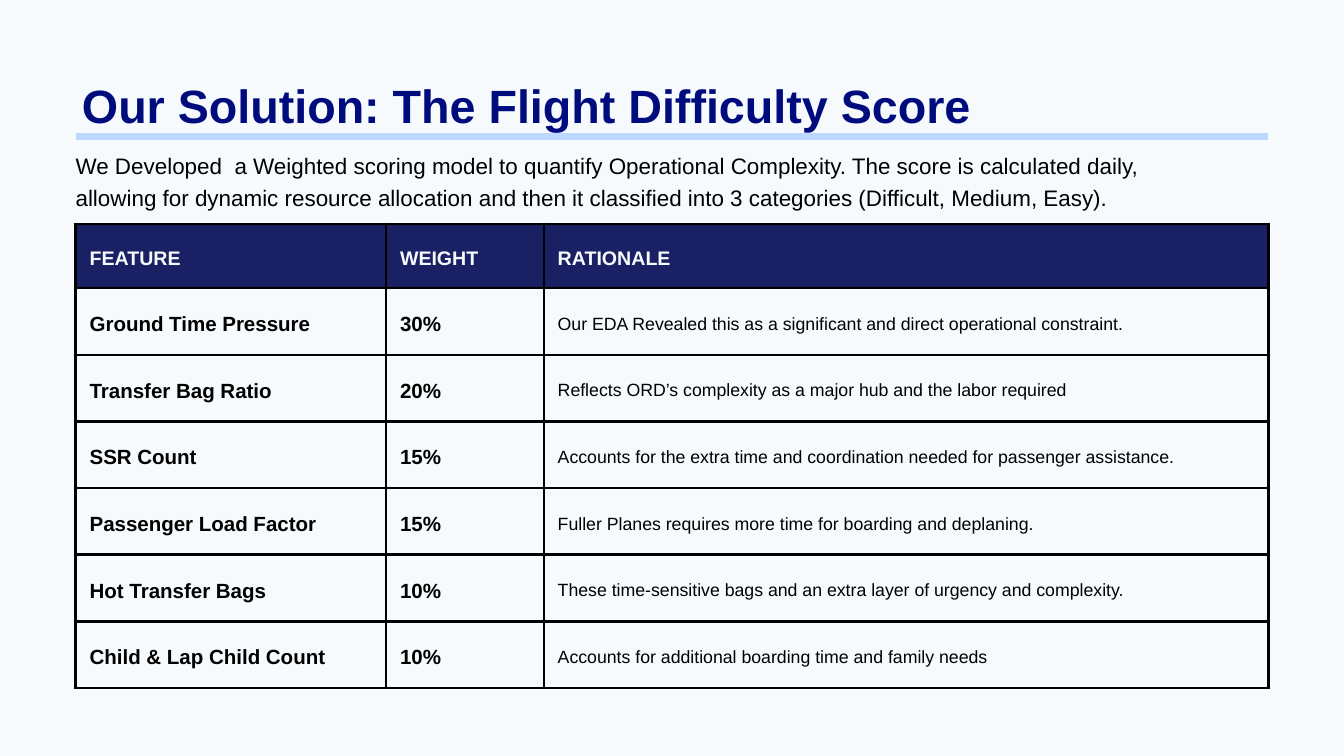
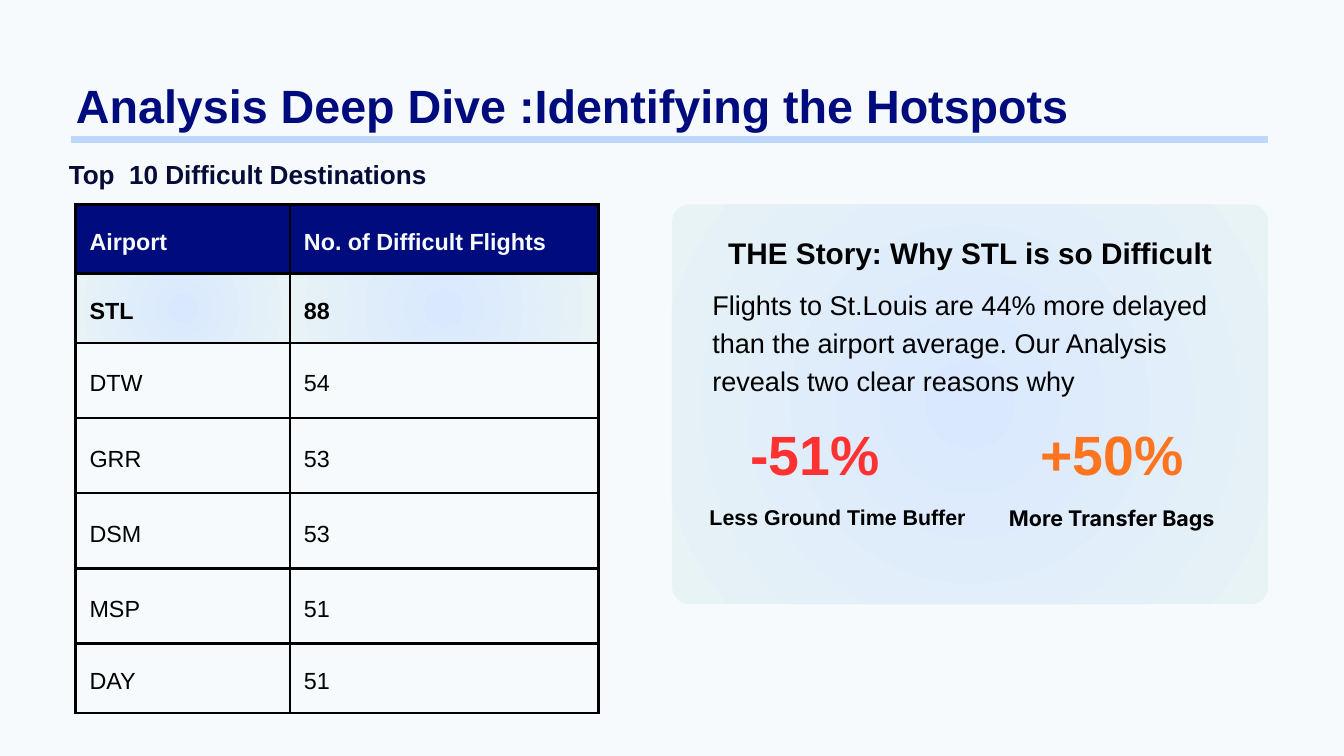
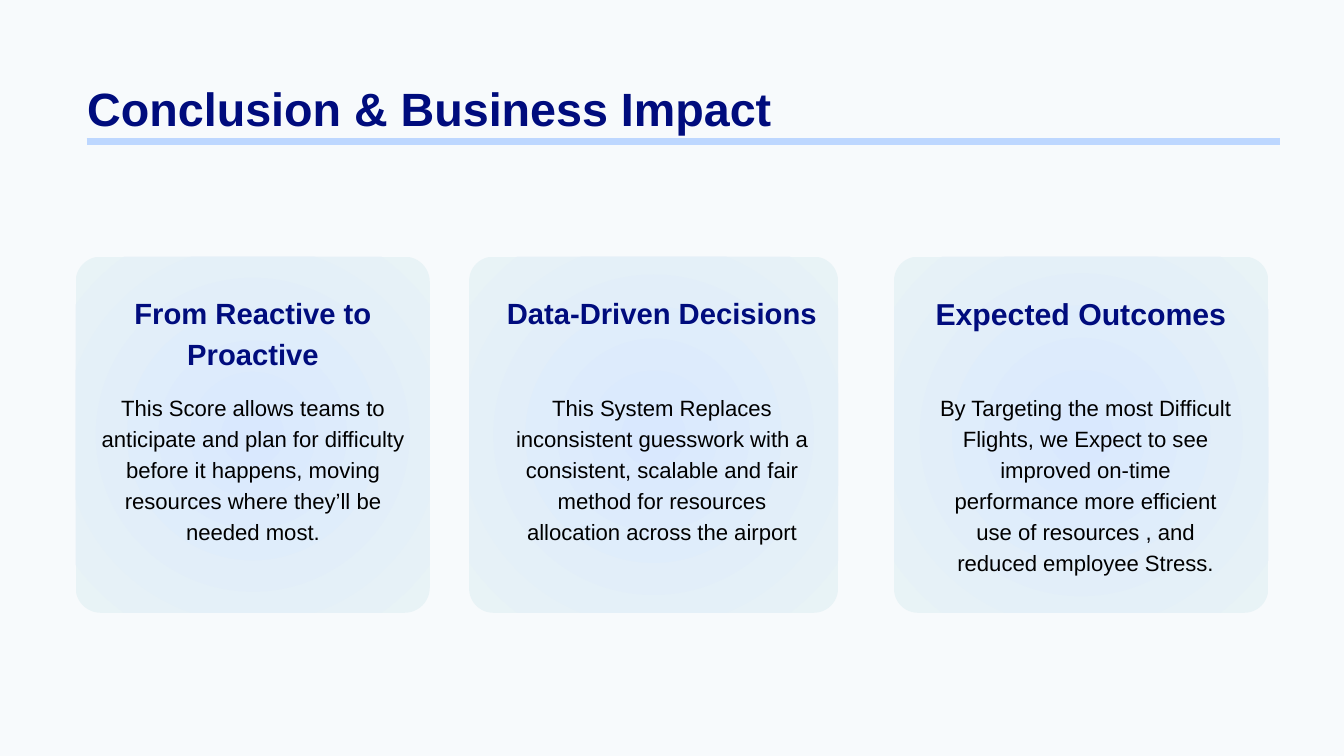
import pptx
import pptx.dml.color
import pptx.enum.shapes
import pptx.enum.text
import pptx.oxml
import pptx.oxml.ns
import pptx.util
from lxml import etree

Pt = pptx.util.Pt
qn = pptx.oxml.ns.qn
RGB = pptx.dml.color.RGBColor.from_string
LEFT = pptx.enum.text.PP_ALIGN.LEFT
CENTER = pptx.enum.text.PP_ALIGN.CENTER

COLORS = {
    "page": "F7FAFC",
    "navy": "000C7D",
    "header": "192064",
    "midnight": "060B37",
    "black": "000000",
    "rule": "BDD7FF",
    "glow": "D9E8FE",
    "mist": "E8F3F6",
    "red": "FF3131",
    "orange": "FF751F",
}
LINE_FACTOR = 1.4
CELL_MARGIN = 15
BORDER_WIDTH = 3


def write_text(frame, lines, size, color, bold=False, align=LEFT, font="Arial"):
    frame.word_wrap = True
    for index, line in enumerate(lines):
        paragraph = frame.paragraphs[0] if index == 0 else frame.add_paragraph()
        paragraph.alignment = align
        paragraph.line_spacing = Pt(round(size * LINE_FACTOR, 1))
        run = paragraph.add_run()
        run.text = line
        run.font.name = font
        run.font.size = Pt(size)
        run.font.bold = bold
        run.font.color.rgb = RGB(COLORS[color])


def paint_glow(fill, element):
    fill.gradient()
    for stop, color in zip(fill.gradient_stops, ("glow", "mist")):
        stop.color.rgb = RGB(COLORS[color])
    linear = next(element.iter(qn("a:lin")))
    circle = etree.Element(qn("a:path"), path="circle")
    etree.SubElement(circle, qn("a:fillToRect"), l="50000", t="50000", r="50000", b="50000")
    linear.getparent().replace(linear, circle)


presentation = pptx.Presentation()
presentation.slide_width = Pt(1440)
presentation.slide_height = Pt(810)

headings = [
    ("Our Solution: The Flight Difficulty Score", 12.4, 72, 1104.5, 81, 1359, 146),
    ("Analysis Deep Dive :Identifying the Hotspots", 36.7, 72, 1154, 75.6, 1359, 149),
    ("Conclusion & Business Impact", 81, 75.6, 759, 92.9, 1371, 151.4),
]
slides = []
for title, left, top, width, rule_start, rule_end, rule_top in headings:
    slide = presentation.slides.add_slide(presentation.slide_layouts[6])
    slide.background.fill.solid()
    slide.background.fill.fore_color.rgb = RGB(COLORS["page"])
    rule = slide.shapes.add_connector(
        pptx.enum.shapes.MSO_CONNECTOR.STRAIGHT,
        Pt(rule_start), Pt(rule_top), Pt(rule_end), Pt(rule_top))
    rule.line.color.rgb = RGB(COLORS["rule"])
    rule.line.width = Pt(7.5)
    etree.SubElement(rule._element.spPr, qn("a:effectLst"))
    slides.append(slide)
score_slide, hotspot_slide, conclusion_slide = slides

feature_rows = [
    ("FEATURE", "WEIGHT", "RATIONALE"),
    ("Ground Time Pressure", "30%",
     "Our EDA Revealed this as a significant and direct operational constraint."),
    ("Transfer Bag Ratio", "20%",
     "Reflects ORD’s complexity as a major hub and the labor required"),
    ("SSR Count", "15%",
     "Accounts for the extra time and coordination needed for passenger assistance."),
    ("Passenger Load Factor", "15%",
     "Fuller Planes requires more time for boarding and deplaning."),
    ("Hot Transfer Bags", "10%",
     "These time-sensitive bags and an extra layer of urgency and complexity."),
    ("Child & Lap Child Count", "10%",
     "Accounts for additional boarding time and family needs"),
]
airport_rows = [
    ("Airport", "No. of Difficult Flights"),
    ("STL", "88"),
    ("DTW", "54"),
    ("GRR", "53"),
    ("DSM", "53"),
    ("MSP", "51"),
    ("DAY", "51"),
]
tables = [
    (score_slide, feature_rows, 239.8, [332.6, 169, 776.4], [69] + [71.4] * 6,
     "header", 21, [22, 22, 19], [True, True, False], None),
    (hotspot_slide, airport_rows, 218.9, [229.7, 330.5], [74.2, 74.2] + [80.6] * 4 + [74.2],
     "navy", 25, [25, 25], [False, False], 1),
]
for (slide, rows, top, column_widths, row_heights, header_color, header_size,
     column_sizes, column_bolds, highlight_row) in tables:
    table = slide.shapes.add_table(
        len(rows), len(column_widths), Pt(81), Pt(top),
        Pt(sum(column_widths)), Pt(sum(row_heights))).table
    table.first_row = False
    table.horz_banding = False
    for column, width in zip(table.columns, column_widths):
        column.width = Pt(width)
    for row_index, (values, height) in enumerate(zip(rows, row_heights)):
        table.rows[row_index].height = Pt(height)
        for column_index, value in enumerate(values):
            cell = table.cell(row_index, column_index)
            cell.margin_left = cell.margin_right = Pt(CELL_MARGIN)
            cell.margin_top = cell.margin_bottom = Pt(CELL_MARGIN)
            cell.vertical_anchor = pptx.enum.text.MSO_ANCHOR.MIDDLE
            properties = cell._tc.get_or_add_tcPr()
            for side in ("a:lnL", "a:lnR", "a:lnT", "a:lnB"):
                border = etree.SubElement(properties, qn(side), w=str(Pt(BORDER_WIDTH)))
                solid = etree.SubElement(border, qn("a:solidFill"))
                etree.SubElement(solid, qn("a:srgbClr"), val=COLORS["black"])
            is_header = row_index == 0
            is_highlight = row_index == highlight_row
            if is_highlight:
                paint_glow(cell.fill, cell._tc)
            else:
                cell.fill.solid()
                cell.fill.fore_color.rgb = RGB(COLORS[header_color if is_header else "page"])
            write_text(
                cell.text_frame, [value],
                header_size if is_header else column_sizes[column_index],
                "page" if is_header else "black",
                is_header or is_highlight or column_bolds[column_index])

cards = [
    (hotspot_slide, 720, 218.9, 639, 428.4, 18.9),
    (conclusion_slide, 81, 275, 379.5, 381.6, 27),
    (conclusion_slide, 502.6, 275, 395.3, 381.6, 26),
    (conclusion_slide, 957.9, 275, 401, 381.6, 25.6),
]
for slide, left, top, width, height, radius in cards:
    card = slide.shapes.add_shape(
        pptx.enum.shapes.MSO_SHAPE.ROUNDED_RECTANGLE, Pt(left), Pt(top), Pt(width), Pt(height))
    card.adjustments[0] = radius / min(width, height)
    card.shadow.inherit = False
    card.line.fill.background()
    paint_glow(card.fill, card._element)

texts = [
    (slide, left, top, width, 68.4, [title], 50, "navy", True, CENTER)
    for slide, (title, left, top, width, *_) in zip(slides, headings)
] + [
    (score_slide, 81, 158.4, 1166.4, 65.5,
     ["We Developed  a Weighted scoring model to quantify Operational Complexity. "
      "The score is calculated daily, allowing for dynamic resource allocation and then "
      "it classified into 3 categories (Difficult, Medium, Easy)."], 24, "black"),
    (hotspot_slide, 73.4, 164.2, 383.8, 39.6,
     ["Top  10 Difficult Destinations"], 28, "midnight", True, CENTER),
    (hotspot_slide, 763.2, 244.8, 553, 44.6,
     ["THE Story: Why STL is so Difficult"], 31.9, "black", True, CENTER),
    (hotspot_slide, 763.2, 303.8, 553, 121,
     ["Flights to St.Louis are 44% more delayed than the airport average. "
      "Our Analysis reveals two clear reasons why"], 29, "black"),
    (hotspot_slide, 777.6, 438.5, 190.8, 82.8, ["-51%"], 59.3, "red", True, CENTER),
    (hotspot_slide, 1105.2, 438.5, 172, 82.8, ["+50%"], 59.3, "orange", True, CENTER),
    (hotspot_slide, 755.3, 535, 284.4, 32.4,
     ["Less Ground Time Buffer"], 22.9, "black", True, CENTER),
    (hotspot_slide, 1078.6, 536.4, 225.4, 31,
     ["More Transfer Bags"], 23, "black", True, CENTER, "Inter"),
    (conclusion_slide, 144, 310.3, 254.2, 87,
     ["From Reactive to", "Proactive"], 31.3, "navy", True, CENTER),
    (conclusion_slide, 525.6, 310.3, 367.2, 43.2,
     ["Data-Driven Decisions"], 31.3, "navy", True, CENTER),
    (conclusion_slide, 1002.2, 309.6, 311.8, 45.4,
     ["Expected Outcomes"], 32.4, "navy", True, CENTER),
    (conclusion_slide, 105.8, 418.3, 330.5, 165,
     ["This Score allows teams to anticipate and plan for difficulty before it happens, "
      "moving resources where they’ll be needed most."], 23.7, "black", False, CENTER),
    (conclusion_slide, 545.8, 418.3, 326.9, 165,
     ["This System Replaces inconsistent guesswork with a consistent, scalable and fair "
      "method for resources allocation across the airport"], 23.7, "black", False, CENTER),
    (conclusion_slide, 1002.2, 418.3, 321.8, 198,
     ["By Targeting the most Difficult Flights, we Expect to see improved on-time "
      "performance more efficient use of resources , and reduced employee Stress."],
     23.7, "black", False, CENTER),
]
for slide, left, top, width, height, *content in texts:
    frame = slide.shapes.add_textbox(Pt(left), Pt(top), Pt(width), Pt(height)).text_frame
    frame.margin_left = frame.margin_right = frame.margin_top = frame.margin_bottom = 0
    frame.auto_size = pptx.enum.text.MSO_AUTO_SIZE.SHAPE_TO_FIT_TEXT
    write_text(frame, *content)

presentation.save("out.pptx")
